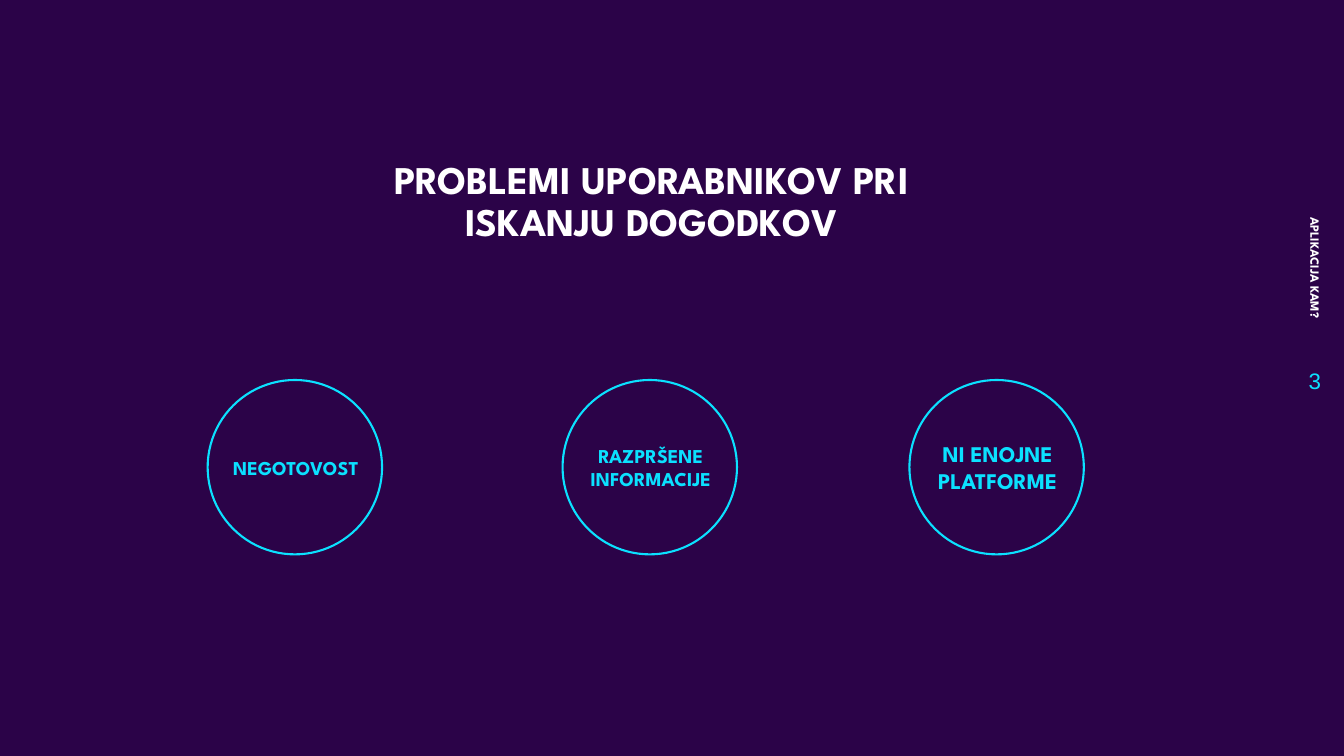
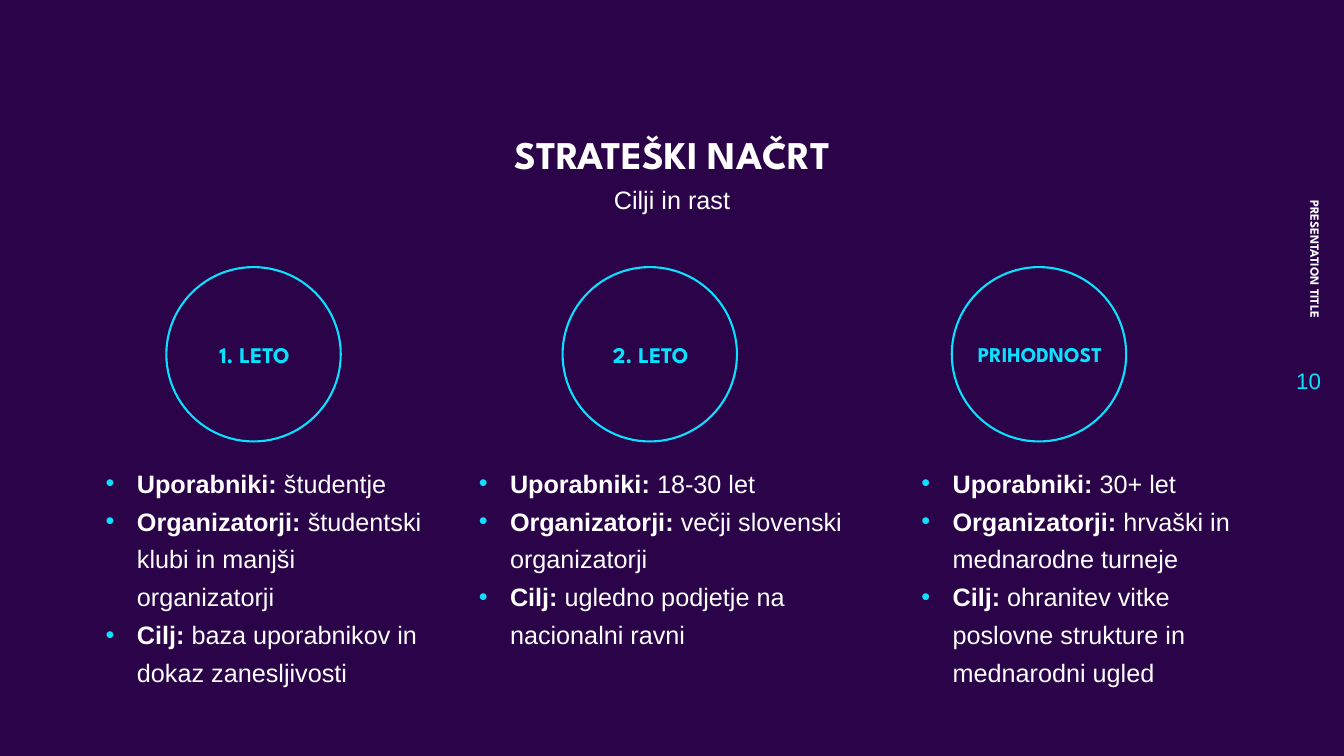
from lxml.etree import SubElement
from pptx import Presentation
from pptx.dml.color import RGBColor
from pptx.enum.shapes import MSO_SHAPE
from pptx.enum.text import MSO_ANCHOR, PP_ALIGN
from pptx.oxml.ns import qn
from pptx.util import Pt

PX = 9144
NIGHT = RGBColor(0x2B, 0x03, 0x48)
CYAN = RGBColor(0x0B, 0xE1, 0xFF)
WHITE = RGBColor(0xFF, 0xFF, 0xFF)
HEAD = "League Spartan"
BODY = "Arial"
RING = 173
INDENT = 31

PROBLEMS = [
    (206, "NEGOTOVOST", 14),
    (558, "RAZPRŠENE INFORMACIJE", 14),
    (902, "NI ENOJNE PLATFORME", 16),
]
YEARS = [
    (165, "1. LETO", 16),
    (558, "2. LETO", 16),
    (944, "PRIHODNOST", 15),
]
KEYS = ["Uporabniki:", "Organizatorji:", "Cilj:"]
PLANS = [
    (95, 335, ["študentje", "študentski klubi in manjši organizatorji",
               "baza uporabnikov in dokaz zanesljivosti"]),
    (465, 411, ["18-30 let", "večji slovenski organizatorji",
                "ugledno podjetje na nacionalni ravni"]),
    (904, 367, ["30+ let", "hrvaški in mednarodne turneje",
                "ohranitev vitke poslovne strukture in mednarodni ugled"]),
]


def place(*sizes):
    return [size * PX for size in sizes]


def add_run(para, text, size, color, font=BODY, bold=False):
    run = para.add_run()
    run.text = text
    run.font.size = Pt(size)
    run.font.name = font
    run.font.bold = bold
    run.font.color.rgb = color


def add_box(slide, x, y, w, h, anchor=MSO_ANCHOR.MIDDLE):
    box = slide.shapes.add_textbox(*place(x, y, w, h))
    box.text_frame.word_wrap = True
    box.text_frame.vertical_anchor = anchor
    return box


def add_line(box, text, size, color, font=BODY, bold=False,
             align=PP_ALIGN.CENTER, space=None):
    para = box.text_frame.paragraphs[0]
    para.alignment = align
    para.line_spacing = space
    add_run(para, text, size, color, font, bold)


def add_title(slide, x, y, text):
    box = add_box(slide, x, y, 614, 74, MSO_ANCHOR.BOTTOM)
    add_line(box, text, 28, WHITE, HEAD, True, space=0.9)


def add_rings(slide, y, items):
    for x, text, size in items:
        ring = slide.shapes.add_shape(
            MSO_SHAPE.OVAL, *place(x, y, RING, RING))
        ring.shadow.inherit = False
        ring.fill.background()
        ring.line.color.rgb = CYAN
        ring.line.width = Pt(1.5)
        label = add_box(slide, x - 6, y + 29, 187, 115)
        add_line(label, text, size, CYAN, HEAD, True)


def set_bullet(para):
    props = para._p.get_or_add_pPr()
    props.set("marL", str(INDENT * PX))
    props.set("indent", str(-INDENT * PX))
    color = SubElement(props, qn("a:buClr"))
    SubElement(color, qn("a:srgbClr"), val=str(CYAN))
    SubElement(props, qn("a:buFont"), typeface=BODY)
    SubElement(props, qn("a:buChar"), char="•")


def add_plan(slide, x, w, goals):
    frame = add_box(slide, x, 452, w, 126, MSO_ANCHOR.TOP).text_frame
    for i, (key, goal) in enumerate(zip(KEYS, goals)):
        para = frame.add_paragraph() if i else frame.paragraphs[0]
        para.line_spacing = 1.25
        set_bullet(para)
        add_run(para, key, 18, WHITE, bold=True)
        add_run(para, " " + goal, 18, WHITE)


def add_side(slide, text, page):
    side = add_box(slide, 1153, 154, 303, 40)
    side.rotation = 90
    add_line(side, text, 9, WHITE, HEAD, True, PP_ALIGN.RIGHT)
    num = add_box(slide, 1260, 346, 60, 63)
    add_line(num, page, 16, CYAN, align=PP_ALIGN.RIGHT)


def add_slide(deck, side, page):
    slide = deck.slides.add_slide(deck.slide_layouts[6])
    add_side(slide, side, page)
    return slide


def main():
    deck = Presentation()
    deck.slide_width, deck.slide_height = place(1333, 750)
    fill = deck.slide_master.background.fill
    fill.solid()
    fill.fore_color.rgb = NIGHT

    slide = add_slide(deck, "APLIKACIJA KAM?", "3")
    add_title(slide, 339, 174, "PROBLEMI UPORABNIKOV PRI ISKANJU DOGODKOV")
    add_rings(slide, 377, PROBLEMS)

    slide = add_slide(deck, "PRESENTATION TITLE", "10")
    add_title(slide, 360, 107, "STRATEŠKI NAČRT")
    sub = add_box(slide, 385, 181, 563, 79, MSO_ANCHOR.TOP)
    add_line(sub, "Cilji in rast", 18, WHITE, space=0.9)
    add_rings(slide, 265, YEARS)
    for plan in PLANS:
        add_plan(slide, *plan)

    deck.save("out.pptx")


if __name__ == "__main__":
    main()
